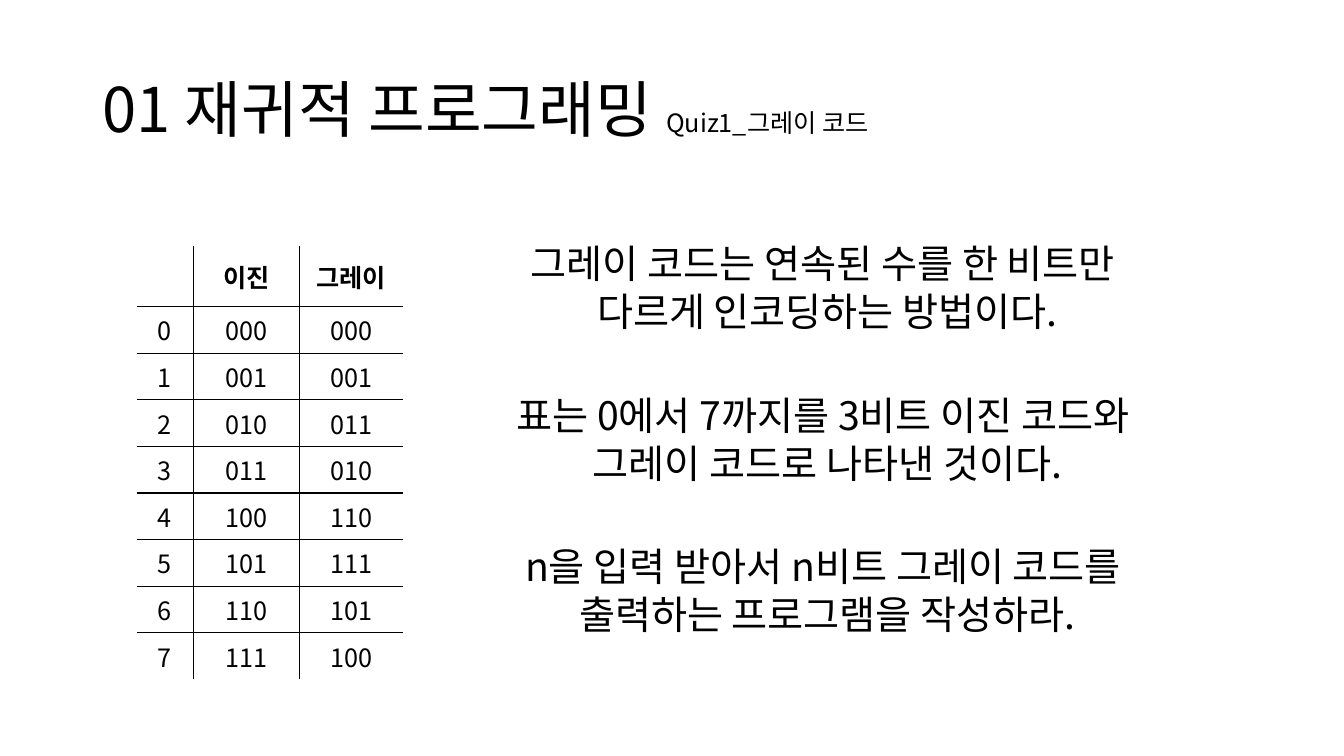
from dataclasses import dataclass

from lxml.etree import SubElement
from pptx import Presentation
from pptx.dml.color import RGBColor
from pptx.enum.text import MSO_ANCHOR, MSO_AUTO_SIZE, PP_ALIGN
from pptx.oxml.ns import qn
from pptx.util import Pt

PX = 9525


@dataclass(frozen=True)
class Theme:
    font: str = "Noto Sans CJK KR"
    ink: RGBColor = RGBColor(0, 0, 0)
    paper: RGBColor = RGBColor(255, 255, 255)
    title: int = 44
    subtitle: int = 18
    body: int = 28
    table: int = 18
    line_spacing: float = 0.9


THEME = Theme()
NO_GRID_STYLE = "{2D5ABB26-0587-4C30-8999-92F81FD0307C}"


def add_run(paragraph, text, size, bold=False):
    run = paragraph.add_run()
    run.text = text
    run.font.size = Pt(size)
    run.font.bold = bold
    run.font.name = THEME.font
    run.font.color.rgb = THEME.ink
    SubElement(run.font._element, qn("a:ea"), typeface=THEME.font)


def place(shape, left, top, width, height):
    shape.left, shape.top = left * PX, top * PX
    shape.width, shape.height = width * PX, height * PX


presentation = Presentation()
presentation.slide_width = 1280 * PX
presentation.slide_height = 720 * PX
slide = presentation.slides.add_slide(presentation.slide_layouts[1])
heading, explanation = slide.placeholders

# Title
place(heading, 88, 38, 1104, 139)
heading.text_frame.auto_size = MSO_AUTO_SIZE.NONE
heading.text_frame.vertical_anchor = MSO_ANCHOR.MIDDLE
heading_line = heading.text_frame.paragraphs[0]
heading_line.alignment = PP_ALIGN.LEFT
heading_line.line_spacing = THEME.line_spacing
add_run(heading_line, "01 재귀적 프로그래밍 ", THEME.title)
add_run(heading_line, "Quiz1_그레이 코드", THEME.subtitle)

# Explanation: three statements of two lines each
STATEMENTS = [
    ("그레이 코드는 연속된 수를 한 비트만 ", "다르게 인코딩하는 방법이다."),
    ("표는 0에서 7까지를 3비트 이진 코드와 ", "그레이 코드로 나타낸 것이다."),
    ("n을 입력 받아서 n비트 그레이 코드를 ", "출력하는 프로그램을 작성하라."),
]
LINE_GAP, STATEMENT_GAP = Pt(3.7), Pt(44)
place(explanation, 385, 192, 806, 457)
frame = explanation.text_frame
frame.auto_size = MSO_AUTO_SIZE.NONE
frame.vertical_anchor = MSO_ANCHOR.MIDDLE
for number, statement in enumerate(STATEMENTS):
    for part, text in enumerate(statement):
        first = number == part == 0
        line = frame.paragraphs[0] if first else frame.add_paragraph()
        line.alignment = PP_ALIGN.CENTER
        line.line_spacing = THEME.line_spacing
        line.space_before = STATEMENT_GAP if number and part == 0 else LINE_GAP
        properties = line._p.get_or_add_pPr()
        properties.set("marL", "0")
        properties.set("indent", "0")
        SubElement(properties, qn("a:buNone"))
        add_run(line, text, THEME.body)

# Code table: Gray code of n is n xor n/2
rows = [("", "이진", "그레이")]
rows += [(str(n), f"{n:03b}", f"{n ^ n >> 1:03b}") for n in range(8)]
COLUMN_WIDTHS = (54, 101, 99)
HEADER_HEIGHT, ROW_HEIGHT = 58, 39
code_table = slide.shapes.add_table(
    len(rows), len(COLUMN_WIDTHS), 130 * PX, 234 * PX, sum(COLUMN_WIDTHS) * PX,
    (HEADER_HEIGHT + 8 * ROW_HEIGHT) * PX).table
code_table.first_row = code_table.horz_banding = False
code_table._tbl.tblPr.find(qn("a:tableStyleId")).text = NO_GRID_STYLE
for column, width in zip(code_table.columns, COLUMN_WIDTHS):
    column.width = width * PX

for r, values in enumerate(rows):
    code_table.rows[r].height = (ROW_HEIGHT if r else HEADER_HEIGHT) * PX
    for c, value in enumerate(values):
        cell = code_table.cell(r, c)
        cell.vertical_anchor = MSO_ANCHOR.MIDDLE
        cell.text_frame.paragraphs[0].alignment = PP_ALIGN.CENTER
        if value:
            add_run(cell.text_frame.paragraphs[0], value, THEME.table, bold=r == 0)
        inner_sides = {"a:lnL": c > 0, "a:lnR": c < len(values) - 1,
                       "a:lnT": r > 0, "a:lnB": r < len(rows) - 1}
        for side, is_inner in inner_sides.items():
            if is_inner:
                border = SubElement(cell._tc.tcPr, qn(side), w=str(Pt(1)))
                fill = SubElement(border, qn("a:solidFill"))
                SubElement(fill, qn("a:srgbClr"), val=str(THEME.ink))
        cell.fill.solid()
        cell.fill.fore_color.rgb = THEME.paper

presentation.save("out.pptx")
